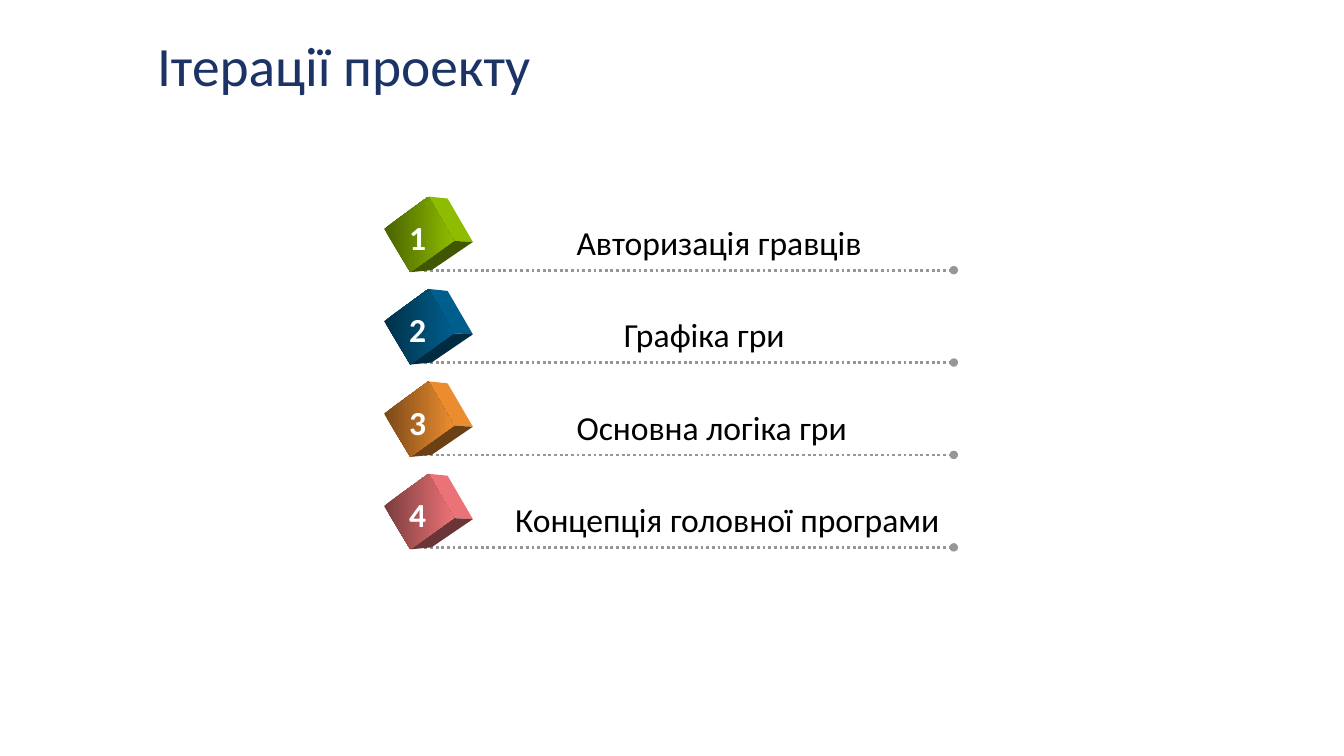
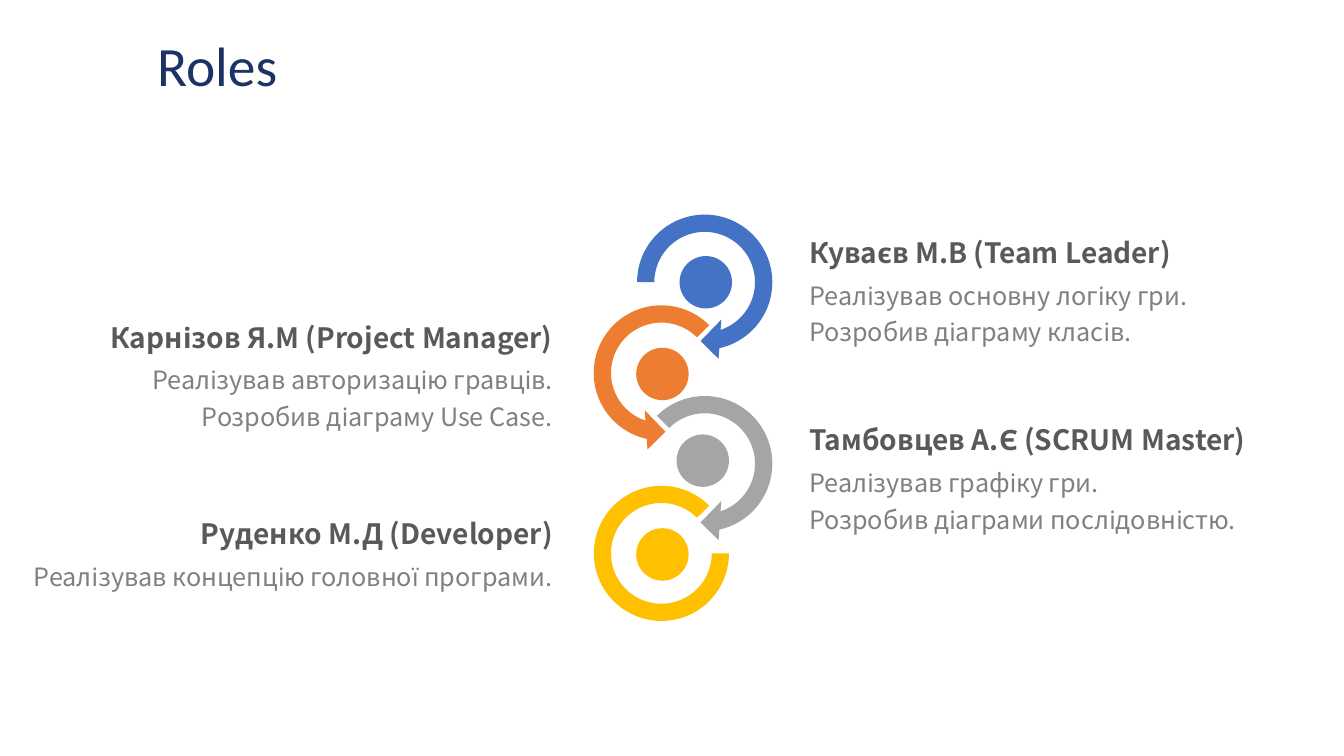
from lxml import etree
from pptx import Presentation
from pptx.dml.color import RGBColor
from pptx.enum.dml import MSO_LINE
from pptx.enum.shapes import MSO_CONNECTOR, MSO_SHAPE
from pptx.enum.text import MSO_ANCHOR, PP_ALIGN
from pptx.oxml.ns import qn
from pptx.util import Inches, Pt

STRAIGHT = MSO_CONNECTOR.STRAIGHT
DOTTED = MSO_LINE.ROUND_DOT
OVAL, BLOCK_ARC = MSO_SHAPE.OVAL, MSO_SHAPE.BLOCK_ARC
ARROW_RIGHT, ARROW_LEFT = MSO_SHAPE.CIRCULAR_ARROW, MSO_SHAPE.LEFT_CIRCULAR_ARROW
MIDDLE, TOP = MSO_ANCHOR.MIDDLE, MSO_ANCHOR.TOP
LEFT, RIGHT, JUSTIFY = PP_ALIGN.LEFT, PP_ALIGN.RIGHT, PP_ALIGN.JUSTIFY

NAVY = RGBColor(0x1C, 0x33, 0x65)
BLACK = RGBColor(0x00, 0x00, 0x00)
WHITE = RGBColor(0xFF, 0xFF, 0xFF)
RULE_GRAY = RGBColor(0x96, 0x96, 0x96)
HEADING_GRAY = RGBColor(0x59, 0x59, 0x59)
BODY_GRAY = RGBColor(0x80, 0x80, 0x80)
LIME = RGBColor(0x99, 0xCC, 0x00)
TEAL = RGBColor(0x00, 0x66, 0x99)
TANGERINE = RGBColor(0xFF, 0x99, 0x33)
CORAL = RGBColor(0xFF, 0x7C, 0x80)
BLUE = RGBColor(0x44, 0x72, 0xC4)
ORANGE = RGBColor(0xED, 0x7D, 0x31)
SILVER = RGBColor(0xA5, 0xA5, 0xA5)
GOLD = RGBColor(0xFF, 0xC0, 0x00)

TITLE_FONT = {"name": "Calibri", "size": Pt(39.6)}
LABEL_FONT = {"name": "Calibri", "size": Pt(24)}
NUMBER_FONT = {**LABEL_FONT, "bold": True}
HEADING_FONT = {"name": "Noto Sans CJK SC", "size": Pt(20), "bold": True}
BODY_FONT = {"name": "Noto Sans CJK SC", "size": Pt(18)}

CUBE_FRONT = [(0, 0.32), (0.44, 0), (0.69, 0.44), (0.26, 0.75)]
CUBE_SIDE = [(0.44, 0), (0.63, 0.02), (0.88, 0.45), (0.69, 0.44)]
CUBE_BASE = [(0.26, 0.75), (0.69, 0.44), (0.88, 0.45), (0.47, 0.73)]
LIGHT, HALF, DARK = 0.92, 0.48, 0.42

ITERATIONS = [
    ("Авторизація гравців", 5.62, LIME),
    ("Графіка гри", 6.09, TEAL),
    ("Основна логіка гри", 5.62, TANGERINE),
    ("Концепція головної програми", 5.01, CORAL),
]
FIRST_RULE, RULE_SPAN = 2.68, 2.75

RINGS = [
    (ARROW_RIGHT, 6.21, 3.82, 1.56, [0.11, 11.423, 45, 135, 0.125], SILVER),
    (BLOCK_ARC, 5.89, 4.82, 1.34, [0, 189, 0.127], GOLD),
    (ARROW_LEFT, 5.78, 2.92, 1.56, [0.11, 11.423, 63, 189, 0.125], ORANGE),
    (ARROW_RIGHT, 6.21, 2.02, 1.56, [0.11, 11.423, 45, 108, 0.125], BLUE),
]
DOTS = [(6.71, 4.31, SILVER), (6.31, 5.24, GOLD),
        (6.31, 3.45, ORANGE), (6.74, 2.54, BLUE)]
DOT_SIZE = 0.52

RIGHT_COLUMN, LEFT_COLUMN_END = 7.93, 5.58
ROLES = [
    ("Куваєв М.В (Team Leader)", 2.22, JUSTIFY, 5.1,
     ["Реалізував основну логіку гри.", "Розробив діаграму класів."]),
    ("Тамбовцев А.Є (SCRUM Master)", 4.08, JUSTIFY, 5.1,
     ["Реалізував графіку гри.", "Розробив діаграми послідовністю."]),
    ("Карнізов Я.М (Project Manager)", 3.06, RIGHT, 4.33,
     ["Реалізував авторизацію гравців. Розробив діаграму Use Case."]),
    ("Руденко М.Д (Developer)", 5.01, RIGHT, 5.58,
     ["Реалізував концепцію головної програми."]),
]


def shade(color, factor):
    """Return the colour darkened by a factor."""
    return RGBColor(*(round(channel * factor) for channel in color))


def add_text(slide, box, lines, font, color, align=LEFT, spacing=1.0,
             anchor=TOP, wrap=True):
    """Add a text box with one paragraph per line."""
    frame = slide.shapes.add_textbox(*map(Inches, box)).text_frame
    frame.word_wrap = wrap
    frame.vertical_anchor = anchor
    for index, line in enumerate(lines):
        paragraph = frame.add_paragraph() if index else frame.paragraphs[0]
        paragraph.alignment = align
        paragraph.line_spacing = spacing
        run = paragraph.add_run()
        run.text = line
        for attribute, value in font.items():
            setattr(run.font, attribute, value)
        run.font.color.rgb = color


def add_titled_slide(deck, title):
    """Add a blank slide with the shared title style."""
    slide = deck.slides.add_slide(deck.slide_layouts[6])
    add_text(slide, (1.46, 0.4, 10.43, 0.56), [title], TITLE_FONT, NAVY,
             spacing=0.9, anchor=MIDDLE)
    return slide


def add_dotted_rule(slide, y):
    """Add a dotted line that ends in a round head."""
    rule = slide.shapes.add_connector(
        STRAIGHT, *map(Inches, (4.21, y, 9.46, y)))
    rule.line.color.rgb = RULE_GRAY
    rule.line.width = Pt(2)
    rule.line.dash_style = DOTTED
    properties = rule.element.spPr
    etree.SubElement(properties.find(qn("a:ln")), qn("a:tailEnd"), type="oval")
    etree.SubElement(properties, qn("a:effectLst"))


def add_face(slide, left, top, corners):
    """Add one borderless face of a cube."""
    points = [(Inches(left + x), Inches(top + y)) for x, y in corners]
    builder = slide.shapes.build_freeform(*points[0])
    builder.add_line_segments(points[1:], close=True)
    face = builder.convert_to_shape()
    face.shadow.inherit = False
    face.line.fill.background()
    return face


def add_cube(slide, left, top, color):
    """Add a tilted cube with a shaded front."""
    for corners, factor in ((CUBE_SIDE, LIGHT), (CUBE_BASE, DARK)):
        fill = add_face(slide, left, top, corners).fill
        fill.solid()
        fill.fore_color.rgb = shade(color, factor)
    front = add_face(slide, left, top, CUBE_FRONT).fill
    front.gradient()
    front.gradient_angle = 0
    for stop, factor in zip(front.gradient_stops, (HALF, LIGHT)):
        stop.color.rgb = shade(color, factor)


def add_iteration(slide, number, rule_y, label, label_left, color):
    """Add a numbered cube, its label and its rule."""
    add_dotted_rule(slide, rule_y)
    add_cube(slide, 3.81, rule_y - 0.73, color)
    add_text(slide, (label_left, rule_y - 0.53, 9.46 - label_left, 0.51),
             [label], LABEL_FONT, BLACK, wrap=False)
    add_text(slide, (3.96, rule_y - 0.58, 0.39, 0.5), [str(number)],
             NUMBER_FONT, WHITE, wrap=False)


def add_round(slide, kind, left, top, size, color, adjustments=()):
    """Add a plain round shape with its adjustments."""
    figure = slide.shapes.add_shape(
        kind, *map(Inches, (left, top, size, size)))
    figure.shadow.inherit = False
    figure.fill.solid()
    figure.fill.fore_color.rgb = color
    figure.line.fill.background()
    for index, value in enumerate(adjustments):
        figure.adjustments[index] = value


def add_role(slide, heading, top, align, body_width, duties):
    """Add a person with their role and duties."""
    def column_left(width):
        return LEFT_COLUMN_END - width if align == RIGHT else RIGHT_COLUMN

    heading_width = 5.58 if align == RIGHT else 5.1
    add_text(slide, (column_left(body_width), top + 0.45, body_width, 0.8),
             duties, BODY_FONT, BODY_GRAY, align, 1.2)
    add_text(slide, (column_left(heading_width), top, heading_width, 0.47),
             [heading], HEADING_FONT, HEADING_GRAY, align, 1.2)


def build_iterations(deck):
    """Build the slide of project iterations."""
    slide = add_titled_slide(deck, "Ітерації проекту")
    pitch = RULE_SPAN / (len(ITERATIONS) - 1)
    for index, iteration in enumerate(ITERATIONS):
        add_iteration(slide, index + 1, FIRST_RULE + index * pitch, *iteration)


def build_roles(deck):
    """Build the slide of team roles."""
    slide = add_titled_slide(deck, "Roles")
    for kind, left, top, size, adjustments, color in RINGS:
        add_round(slide, kind, left, top, size, color, adjustments)
    for left, top, color in DOTS:
        add_round(slide, OVAL, left, top, DOT_SIZE, color)
    for role in ROLES:
        add_role(slide, *role)


def main():
    """Build and save the presentation."""
    deck = Presentation()
    deck.slide_width, deck.slide_height = Inches(13.33), Inches(7.5)
    build_iterations(deck)
    build_roles(deck)
    deck.save("out.pptx")


main()
